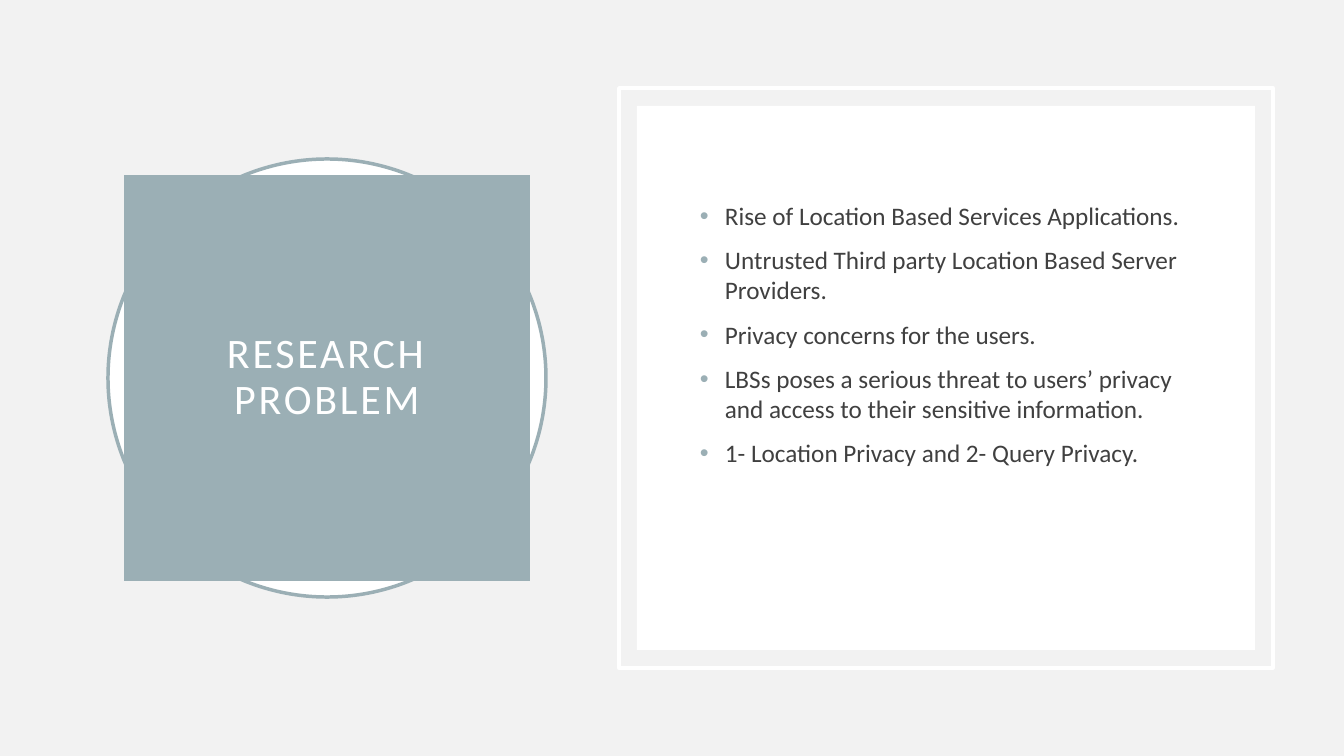
from pptx import Presentation
from pptx.dml.color import RGBColor
from pptx.enum.shapes import MSO_SHAPE as SHAPE
from pptx.enum.text import MSO_ANCHOR as ANCHOR, PP_ALIGN as ALIGN
from pptx.oxml.ns import qn
from pptx.util import Pt
from lxml.etree import SubElement

PX = 12192000 / 1344
THEME = dict(bg="F2F2F2", panel="FFFFFF", accent="9BAFB5", text="404040",
             font="Calibri", title=30, body=18, line=2.5)
BULLETS = [
    "Rise of Location Based Services Applications.",
    "Untrusted Third party Location Based Server Providers.",
    "Privacy concerns for the users.",
    "LBSs poses a serious threat to users’ privacy and access to their sensitive information.",
    "1- Location Privacy and 2- Query Privacy.",
]


def add_box(kind, box, fill=None, line=None):
    sp = slide.shapes.add_shape(kind, *[round(v * PX) for v in box])
    sp.shadow.inherit = False
    if fill:
        sp.fill.solid()
        sp.fill.fore_color.rgb = RGBColor.from_string(THEME[fill])
    else:
        sp.fill.background()
    if line:
        sp.line.color.rgb = RGBColor.from_string(THEME[line])
        sp.line.width = Pt(THEME["line"])
    else:
        sp.line.fill.background()
    return sp


def add_run(p, text, size, color):
    r = p.add_run()
    r.text = text
    r.font.name = THEME["font"]
    r.font.size = Pt(THEME[size])
    r.font.color.rgb = RGBColor.from_string(THEME[color])
    return r


prs = Presentation()
prs.slide_width, prs.slide_height = round(1344 * PX), round(756 * PX)
slide = prs.slides.add_slide(prs.slide_layouts[6])
slide.background.fill.solid()
slide.background.fill.fore_color.rgb = RGBColor.from_string(THEME["bg"])

# Ring and framed panel
add_box(SHAPE.OVAL, (108, 159, 438, 438), "panel", "accent")
add_box(SHAPE.RECTANGLE, (619, 88, 654, 580), line="panel")
add_box(SHAPE.RECTANGLE, (637, 106, 618, 544), "panel")

# Title block
tf = add_box(SHAPE.RECTANGLE, (124, 175, 406, 406), "accent").text_frame
tf.word_wrap = True
tf.vertical_anchor = ANCHOR.MIDDLE
tf.margin_left = tf.margin_right = tf.margin_top = tf.margin_bottom = round(20 * PX)
p = tf.paragraphs[0]
p.alignment = ALIGN.CENTER
p.line_spacing = 0.9
r = add_run(p, "RESEARCH PROBLEM", "title", "panel")
r.font._element.set("spc", "200")

# Bullet list, lifted above the middle by a deep bottom margin
tf = slide.shapes.add_textbox(*[round(v * PX) for v in (690, 159, 513, 438)]).text_frame
tf.word_wrap = True
tf.vertical_anchor = ANCHOR.MIDDLE
tf.margin_bottom = round(93 * PX)
indent = round(25 * PX)
for i, text in enumerate(BULLETS):
    p = tf.add_paragraph() if i else tf.paragraphs[0]
    p.space_before = Pt(10)
    add_run(p, text, "body", "text")
    pPr = p._p.get_or_add_pPr()
    pPr.set("marL", str(indent))
    pPr.set("indent", str(-indent))
    SubElement(SubElement(pPr, qn("a:buClr")), qn("a:srgbClr"), val=THEME["accent"])
    SubElement(pPr, qn("a:buFont"), typeface="Arial")
    SubElement(pPr, qn("a:buChar"), char="•")

prs.save("out.pptx")
